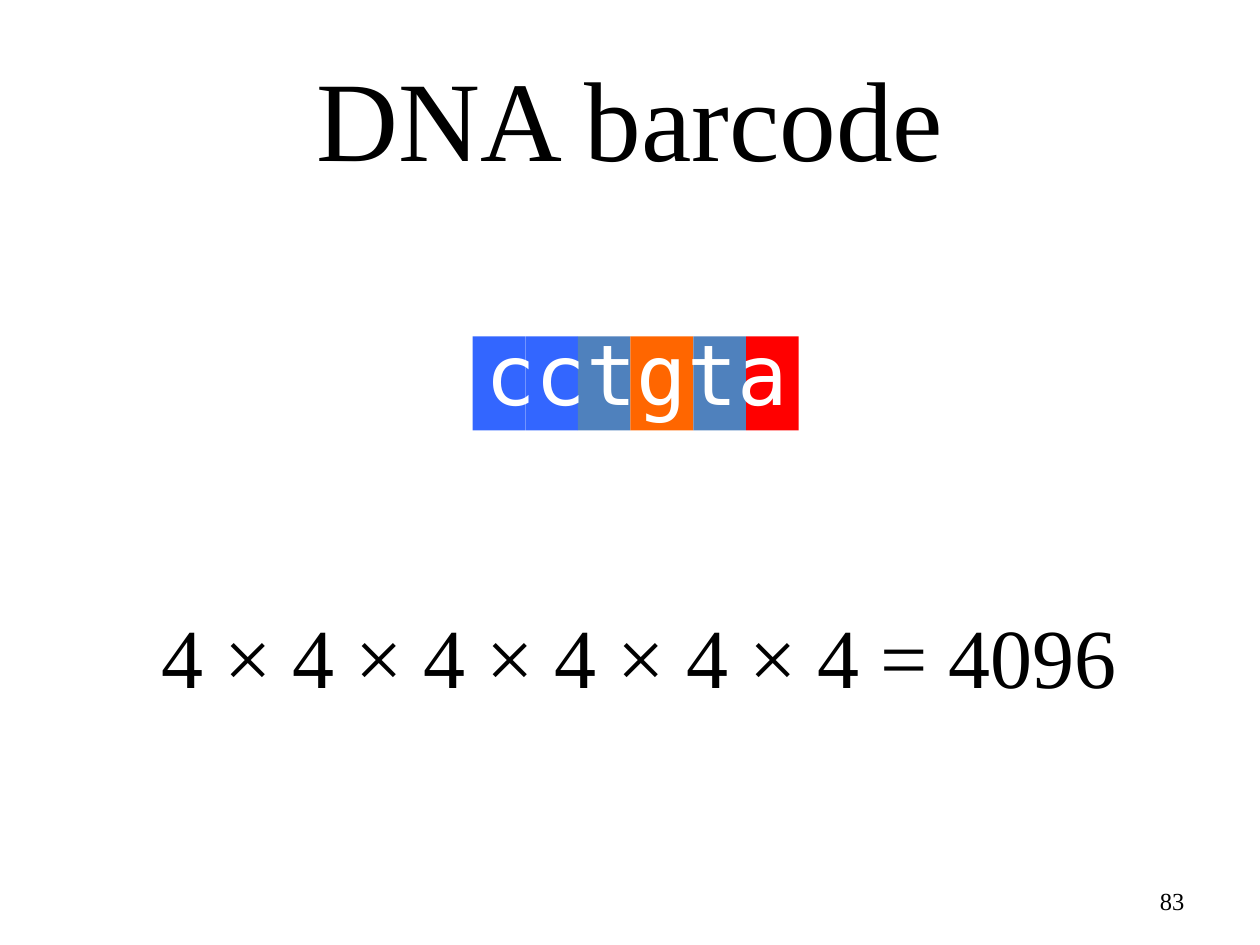
"""Build the DNA barcode slide."""
from dataclasses import dataclass

from pptx import Presentation
from pptx.dml.color import RGBColor
from pptx.enum import shapes, text
from pptx.util import Cm, Pt

BLACK = RGBColor(0x00, 0x00, 0x00)
WHITE = RGBColor(0xFF, 0xFF, 0xFF)
BLUE = RGBColor(0x33, 0x66, 0xFF)
STEEL = RGBColor(0x4F, 0x81, 0xBD)
ORANGE = RGBColor(0xFF, 0x66, 0x00)
RED = RGBColor(0xFF, 0x00, 0x00)
SERIF = "Times New Roman"
MONO = "DejaVu Sans Mono"
CODE = "cctgta"
START, TOP, TALL = 9.53, 6.78, 1.9


@dataclass
class Base:
    color: RGBColor
    width: float = 1.06


@dataclass
class Label:
    words: str
    left: float
    top: float
    width: float
    height: float
    size: float = 48
    face: str = SERIF
    color: RGBColor = BLACK
    align: text.PP_ALIGN = text.PP_ALIGN.LEFT
    anchor: text.MSO_ANCHOR = text.MSO_ANCHOR.TOP
    wrap: bool = False


BASES = {"a": Base(RED), "c": Base(BLUE), "g": Base(ORANGE, 1.27), "t": Base(STEEL)}
TITLE = Label("DNA barcode", 1.27, 0.76, 22.86, 3.18, 64.8,
              align=text.PP_ALIGN.CENTER, anchor=text.MSO_ANCHOR.MIDDLE, wrap=True)
LABELS = [
    Label("83", 18.21, 17.65, 5.92, 1.02, 14,
          align=text.PP_ALIGN.RIGHT, anchor=text.MSO_ANCHOR.MIDDLE, wrap=True),
    Label(CODE, START, 6.35, 6.65, 2.31, face=MONO, color=WHITE),
    Label("4 × 4 × 4 × 4 × 4 × 4 = 4096", 3, 12.07, 19.96, 2.31),
]


def draw_base(slide, base: Base, left: float) -> None:
    box = slide.shapes.add_shape(shapes.MSO_SHAPE.RECTANGLE, Cm(left), Cm(TOP),
                                 Cm(base.width), Cm(TALL))
    box.shadow.inherit = False
    box.fill.solid()
    box.fill.fore_color.rgb = base.color
    box.line.fill.background()


def set_label(shape, label: Label) -> None:
    shape.left, shape.top = Cm(label.left), Cm(label.top)
    shape.width, shape.height = Cm(label.width), Cm(label.height)
    frame = shape.text_frame
    frame.text = label.words
    frame.word_wrap = label.wrap
    frame.auto_size = (text.MSO_AUTO_SIZE.NONE if label.wrap
                       else text.MSO_AUTO_SIZE.SHAPE_TO_FIT_TEXT)
    frame.vertical_anchor = label.anchor
    line = frame.paragraphs[0]
    line.alignment = label.align
    font = line.runs[0].font
    font.name, font.size = label.face, Pt(label.size)
    font.color.rgb = label.color


def main() -> None:
    deck = Presentation()
    deck.slide_width, deck.slide_height = Cm(25.4), Cm(19.05)
    slide = deck.slides.add_slide(deck.slide_layouts[5])
    set_label(slide.shapes.title, TITLE)
    left = START
    for letter in CODE:
        base = BASES[letter]
        draw_base(slide, base, left)
        left += base.width
    for label in LABELS:
        set_label(slide.shapes.add_textbox(0, 0, 0, 0), label)
    deck.save("out.pptx")


if __name__ == "__main__":
    main()
